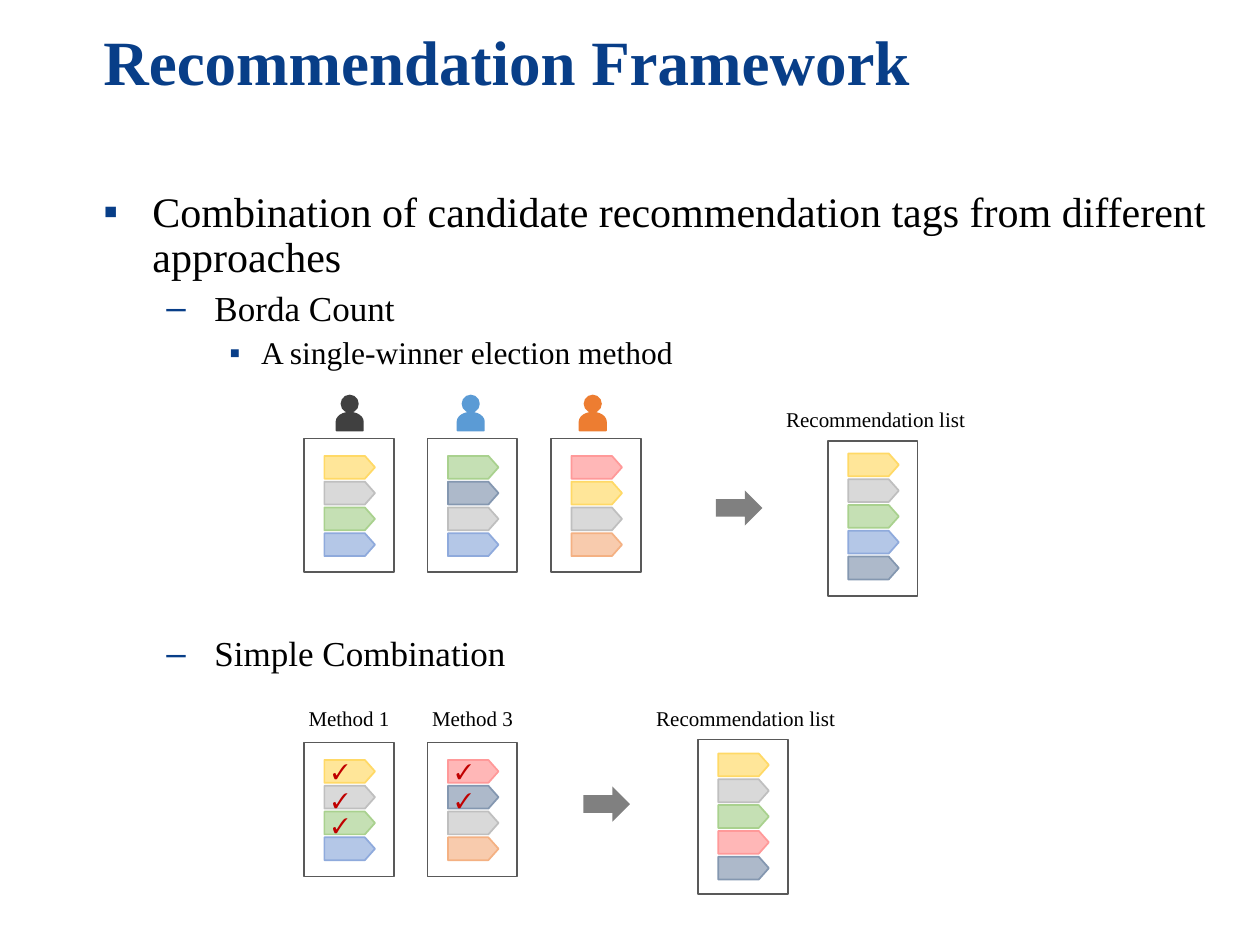
from dataclasses import dataclass
from typing import NamedTuple

from lxml import etree
from pptx import Presentation
from pptx import util as u
from pptx.dml.color import RGBColor
from pptx.enum import shapes, text
from pptx.oxml.ns import qn


@dataclass(frozen=True)
class Theme:
    font: str = "Times New Roman"
    navy: str = "083E88"
    ink: str = "000000"
    frame: str = "595959"
    arrow: str = "808080"
    check: str = "C00000"
    title: int = 36
    levels: tuple = (24, 20, 18)
    label: int = 12


class Hue(NamedTuple):
    fill: str
    line: str


class Item(NamedTuple):
    text: str
    level: int
    mark: str
    before: float


class Card(NamedTuple):
    left: float
    top: float
    height: float
    inset: float
    tags: str
    checks: int = 0


class Label(NamedTuple):
    text: str
    left: float
    top: float
    width: float


class Person(NamedTuple):
    mid: float
    color: str


THEME = Theme()
KIND = shapes.MSO_SHAPE
HUES = {
    "yellow": Hue("FFE699", "FFD966"),
    "gray": Hue("D9D9D9", "BFBFBF"),
    "green": Hue("C5E0B4", "A9D18E"),
    "blue": Hue("B4C7E7", "8FAADC"),
    "slate": Hue("ADB9CA", "8497B0"),
    "pink": Hue("FFB7B7", "FF9999"),
    "orange": Hue("F8CBAD", "F4B183"),
}
INDENTS = ((0.99, -0.99), (2.24, -0.97), (3.18, -0.64))
ITEMS = (
    Item("Combination of candidate recommendation tags from different approaches", 0, "▪", 0),
    Item("Borda Count", 1, "‒", 5),
    Item("A single-winner election method", 2, "▪", 5),
    Item("Simple Combination", 1, "‒", 151.5),
)
LEFT, STEP, WIDE = 6.13, 2.49, 1.81
VOTES, METHODS = 8.84, 14.97
CARDS = (
    Card(LEFT, VOTES, 2.7, 0.58, "yellow gray green blue"),
    Card(LEFT + STEP, VOTES, 2.7, 0.58, "green slate gray blue"),
    Card(LEFT + 2 * STEP, VOTES, 2.7, 0.58, "pink yellow gray orange"),
    Card(16.69, 8.89, 3.12, 0.48, "yellow gray green blue slate"),
    Card(LEFT, METHODS, 2.7, 0.58, "yellow gray green blue", 3),
    Card(LEFT + STEP, METHODS, 2.7, 0.58, "pink slate gray orange", 2),
    Card(14.07, 14.91, 3.12, 0.51, "yellow gray green pink slate"),
)
LABELS = (
    Label("Recommendation list", 15.6, 8.08, 4.17),
    Label("Method 1", 5.97, 14.1, 2.16),
    Label("Method 3", 8.46, 14.1, 2.16),
    Label("Recommendation list", 12.98, 14.1, 4.17),
)
PEOPLE = (Person(7.05, "404040"), Person(9.49, "5B9BD5"), Person(11.95, "ED7D31"))
ARROWS = ((14.43, 9.88), (11.76, 15.85))
CHECKS = (0.19, 0.78, 1.29)


def place(shape, left: float, top: float, width: float, height: float) -> None:
    shape.left, shape.top = u.Cm(left), u.Cm(top)
    shape.width, shape.height = u.Cm(width), u.Cm(height)


def style(para, size: int, color: str, bold: bool = False) -> None:
    for run in para.runs:
        run.font.name = THEME.font
        run.font.size = u.Pt(size)
        run.font.bold = bold
        run.font.color.rgb = RGBColor.from_string(color)


def draw(tree, kind, mid: float, row: float, width: float, height: float,
         fill: str = "", line: str = "", turn: int = 0) -> None:
    shape = tree.add_shape(kind, u.Cm(mid - width / 2), u.Cm(row - height / 2),
                           u.Cm(width), u.Cm(height))
    shape.shadow.inherit = False
    shape.rotation = turn
    if fill:
        shape.fill.solid()
        shape.fill.fore_color.rgb = RGBColor.from_string(fill)
    else:
        shape.fill.background()
    if line:
        shape.line.color.rgb = RGBColor.from_string(line)
        shape.line.width = u.Pt(1)
    else:
        shape.line.fill.background()


def write(tree, label: Label, color: str) -> None:
    box = tree.add_textbox(u.Cm(label.left), u.Cm(label.top), u.Cm(label.width), u.Cm(0.77))
    frame = box.text_frame
    frame.word_wrap = False
    frame.text = label.text
    style(frame.paragraphs[0], THEME.label, color)


def bullet(para, item: Item) -> None:
    props = para._p.get_or_add_pPr()
    margin, indent = INDENTS[item.level]
    props.set("marL", str(u.Cm(margin)))
    props.set("indent", str(u.Cm(indent)))
    hue = etree.SubElement(props, qn("a:buClr"))
    etree.SubElement(hue, qn("a:srgbClr")).set("val", THEME.navy)
    etree.SubElement(props, qn("a:buChar")).set("char", item.mark)


def fill_title(shape) -> None:
    place(shape, 1.83, 0.25, 21.51, 2.11)
    frame = shape.text_frame
    frame.text = "Recommendation Framework"
    frame.auto_size = text.MSO_AUTO_SIZE.NONE
    frame.vertical_anchor = text.MSO_ANCHOR.MIDDLE
    para = frame.paragraphs[0]
    para.alignment = text.PP_ALIGN.LEFT
    para.line_spacing = 0.9
    style(para, THEME.title, THEME.navy, True)


def fill_body(shape) -> None:
    place(shape, 1.83, 3.73, 23.06, 14.53)
    frame = shape.text_frame
    frame.text = "\n".join(item.text for item in ITEMS)
    frame.auto_size = text.MSO_AUTO_SIZE.NONE
    for para, item in zip(frame.paragraphs, ITEMS):
        para.level = item.level
        bullet(para, item)
        para.line_spacing = 0.9
        para.space_before = u.Pt(item.before)
        style(para, THEME.levels[item.level], THEME.ink)


def draw_card(tree, card: Card) -> None:
    draw(tree, KIND.RECTANGLE, card.left + WIDE / 2, card.top + card.height / 2,
         WIDE, card.height, line=THEME.frame)
    for row, name in enumerate(card.tags.split()):
        draw(tree, KIND.FLOWCHART_OFFPAGE_CONNECTOR, card.left + 0.92,
             card.top + card.inset + 0.52 * row, 0.46, 1.02, *HUES[name], turn=270)
    for drop in CHECKS[:card.checks]:
        write(tree, Label("✓", card.left + 0.32, card.top + drop, 0.84), THEME.check)


def draw_person(tree, person: Person) -> None:
    group = tree.add_group_shape().shapes
    draw(group, KIND.OVAL, person.mid, 8.14, 0.33, 0.33, person.color, person.color)
    draw(group, KIND.FLOWCHART_DELAY, person.mid, 8.5, 0.36, 0.53,
         person.color, person.color, 270)


def main() -> None:
    deck = Presentation()
    deck.slide_width, deck.slide_height = u.Cm(25.4), u.Cm(19.05)
    slide = deck.slides.add_slide(deck.slide_layouts[1])
    tree = slide.shapes
    fill_title(tree.title)
    fill_body(slide.placeholders[1])
    for card in CARDS:
        draw_card(tree, card)
    for label in LABELS:
        write(tree, label, THEME.ink)
    for person in PEOPLE:
        draw_person(tree, person)
    for left, top in ARROWS:
        draw(tree, KIND.RIGHT_ARROW, left + 0.47, top + 0.36, 0.94, 0.71, THEME.arrow)
    deck.save("out.pptx")


if __name__ == "__main__":
    main()
